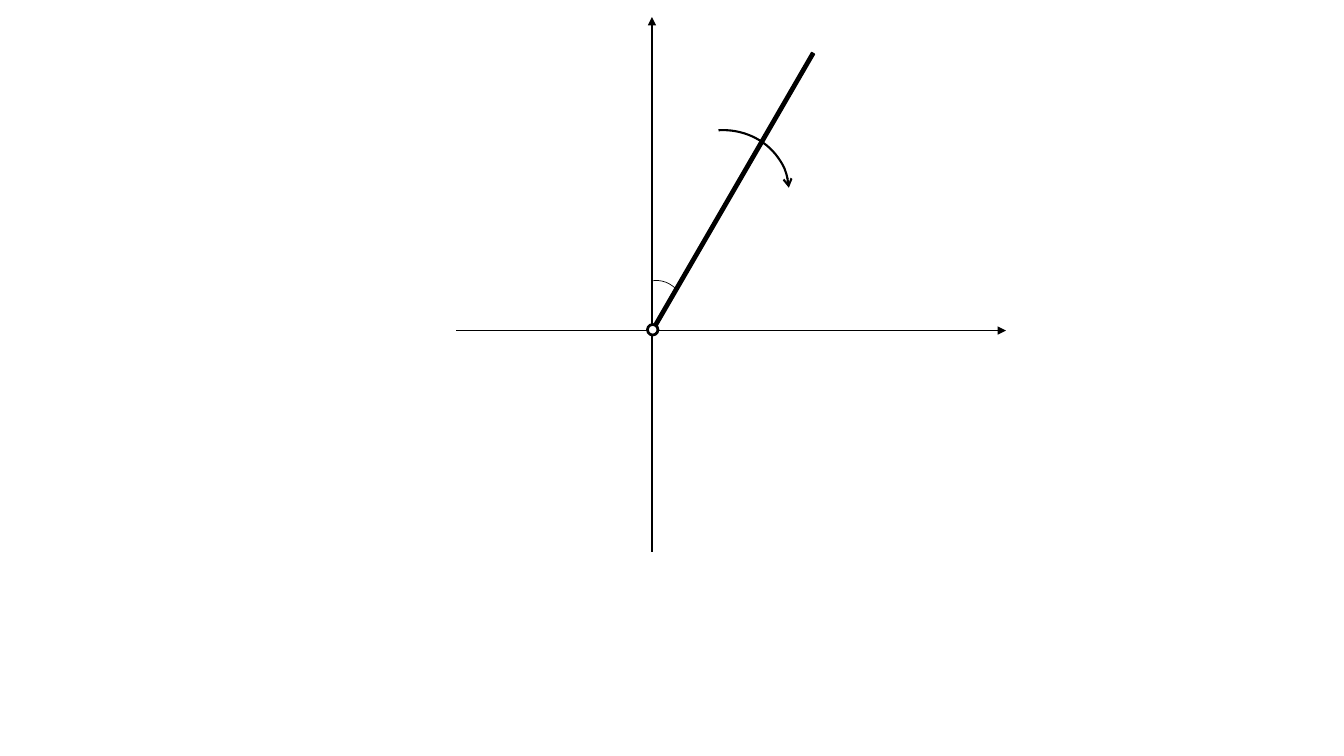
from lxml.etree import SubElement
from pptx import Presentation
from pptx.dml.color import RGBColor
from pptx.enum.shapes import MSO_CONNECTOR, MSO_SHAPE
from pptx.oxml.ns import qn
from pptx.util import Cm, Pt

COLORS = {"ink": "000000", "paper": "FFFFFF"}

ROD = {"rotation": 300.1}
ANGLE_MARK = {"rotation": 327.4}
TURN_ARROW = {"rotation": 356.3}


def set_line(shape, width, arrowhead=None):
    shape.line.color.rgb = RGBColor.from_string(COLORS["ink"])
    shape.line.width = Pt(width)
    if arrowhead:
        outline = shape.line._get_or_add_ln()
        SubElement(outline, qn("a:tailEnd"), type=arrowhead)


def add_centred_shape(slide, kind, centre, size, line_width, fill=None,
                      arrowhead=None, values=None):
    (x, y), (width, height) = centre, size
    shape = slide.shapes.add_shape(
        kind, Cm(x - width / 2), Cm(y - height / 2), Cm(width), Cm(height))
    shape.shadow.inherit = False
    if fill:
        shape.fill.solid()
        shape.fill.fore_color.rgb = RGBColor.from_string(COLORS[fill])
    else:
        shape.fill.background()
    set_line(shape, line_width, arrowhead)
    for name, value in (values or {}).items():
        setattr(shape, name, value)
    return shape


def add_axes(slide, box, pivot):
    left, top, width, height = box
    x, y = pivot
    half_axes = [
        ((x, top), "triangle"),
        ((left + width, y), "triangle"),
        ((x, top + height), None),
        ((left, y), None),
    ]
    for (end_x, end_y), arrowhead in half_axes:
        connector = slide.shapes.add_connector(
            MSO_CONNECTOR.STRAIGHT, Cm(x), Cm(y), Cm(end_x), Cm(end_y))
        set_line(connector, 1, arrowhead)
        SubElement(connector._element.spPr, qn("a:effectLst"))


def add_arc(slide, centre, size, angles, line_width, values, arrowhead=None):
    arc = add_centred_shape(slide, MSO_SHAPE.ARC, centre, size, line_width,
                            arrowhead=arrowhead, values=values)
    for index, degrees in enumerate(angles):
        arc.adjustments[index] = degrees * 0.6


def add_pendulum(slide, box):
    left, top, width, height = box
    x, y = pivot = (left + 4.93, top + 7.9)
    add_centred_shape(slide, MSO_SHAPE.MATH_MINUS, (x + 2.04, y - 3.5),
                      (10.97, 0.36), 1, fill="ink", values=ROD)
    add_axes(slide, box, pivot)
    add_arc(slide, (x + 0.12, y - 0.58), (1.35, 1.37), (293.6, 350.4),
            0.5, ANGLE_MARK)
    for diameter, fill in ((0.3, "ink"), (0.23, "paper")):
        add_centred_shape(slide, MSO_SHAPE.FLOWCHART_CONNECTOR,
                          (x + 0.02, y - 0.02), (diameter, diameter), 1, fill=fill)
    add_arc(slide, (x + 1.78, y - 3.49), (3.35, 3.12), (270, 0),
            1.5, TURN_ARROW, arrowhead="arrow")


def main():
    presentation = Presentation()
    presentation.slide_width = Cm(33.87)
    presentation.slide_height = Cm(19.05)
    slide = presentation.slides.add_slide(presentation.slide_layouts[6])
    add_pendulum(slide, (11.5, 0.43, 13.85, 13.49))
    presentation.save("out.pptx")


if __name__ == "__main__":
    main()
